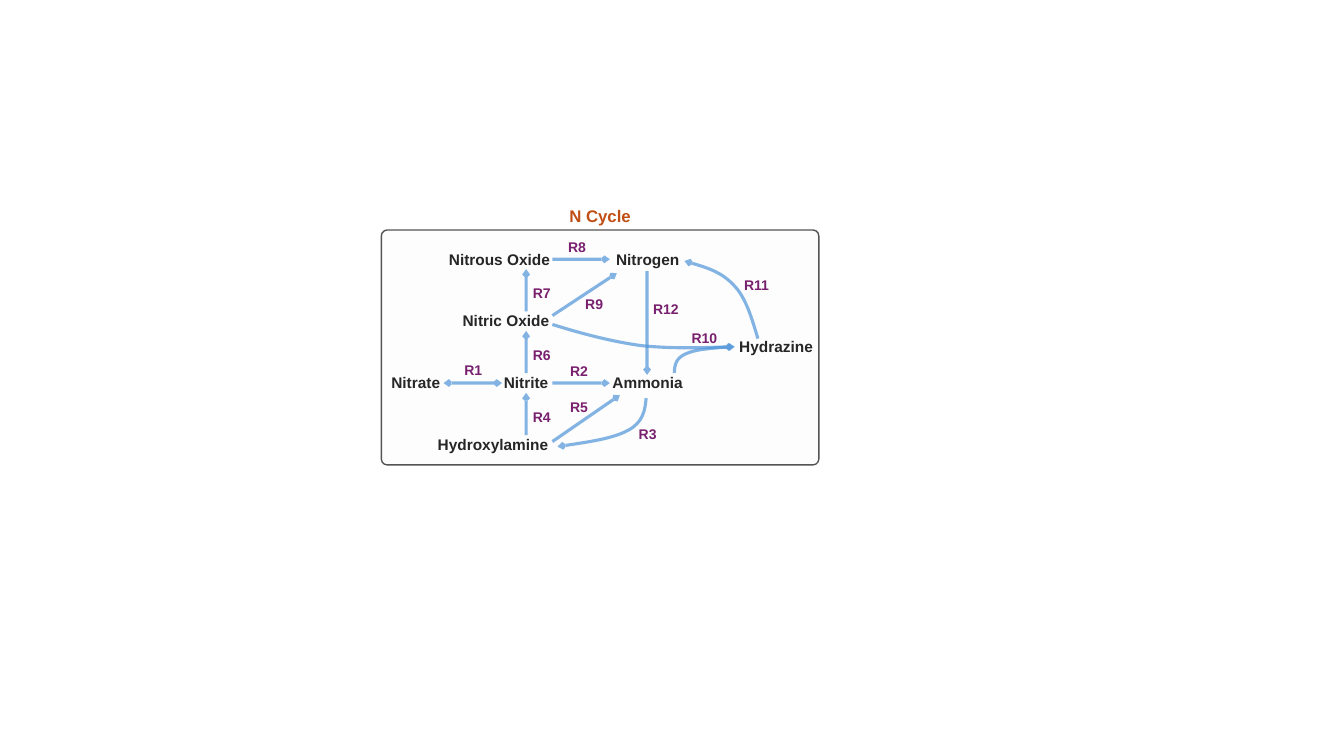
from lxml.etree import SubElement
from pptx import Presentation
from pptx.dml.color import RGBColor
from pptx.enum.shapes import MSO_CONNECTOR, MSO_SHAPE
from pptx.enum.text import MSO_ANCHOR, PP_ALIGN
from pptx.oxml.ns import qn
from pptx.util import Pt

PANEL = RGBColor(0xF2, 0xF2, 0xF2)
BORDER = RGBColor(0x0D, 0x0D, 0x0D)
INK = RGBColor(0x26, 0x26, 0x26)
BLUE = RGBColor(0x4E, 0x95, 0xD9)
PURPLE = RGBColor(0x78, 0x20, 0x6E)
ORANGE = RGBColor(0xC0, 0x4F, 0x15)

ROWS = [185.2 + 44.2 * i for i in range(4)]
BOX_X, BOX_Y, BOX_W, BOX_H = 272.4, 164.3, 312.5, 167.8
UP_X = 375.8
LEFT_X, RIGHT_X = 394.6, 435.6

# text, centre x, centre y, box width
COMPOUNDS = [
    ("Nitrate", 297, ROWS[2], 52),
    ("Nitrite", UP_X, ROWS[2], 46),
    ("Ammonia", 462.6, ROWS[2], 67),
    ("Nitric Oxide", 361.4, ROWS[1], 76),
    ("Nitrous Oxide", 356.8, ROWS[0], 87),
    ("Nitrogen", 462.7, ROWS[0], 60),
    ("Hydroxylamine", 352.2, ROWS[3], 95),
    ("Hydrazine", 554.4, 247.8, 70),
]
REACTIONS = [
    ("R1", 338, 264.6), ("R2", 413.6, 265.3), ("R3", 462.6, 310),
    ("R5", 413.6, 290.5), ("R8", 412.2, 176.6), ("R9", 424.4, 217.1),
    ("R10", 503.2, 241.6), ("R11", 540.4, 203.4), ("R12", 475.6, 220.7),
]
UP_REACTIONS = ["R7", "R6", "R4"]
STRAIGHT = [
    ((LEFT_X, ROWS[0]), (RIGHT_X, ROWS[0])),
    ((LEFT_X, ROWS[2]), (RIGHT_X, ROWS[2])),
    ((462.2, 193.7), (462.2, 267.8)),
    ((LEFT_X, 225.4), (440.6, 195.1)),
    ((LEFT_X, 315.4), (442.8, 282.2)),
]
# start point, then two control points and an end point per segment
CURVES = [
    [(541.4, 241.9), (537.1, 227.5), (532.8, 212.4), (524.2, 203.8),
     (515.5, 194.4), (501.8, 190.1), (488.9, 186.5)],
    [(LEFT_X, 231.8), (415.4, 238.3), (437, 244.1), (458.6, 247),
     (480.2, 249.1), (502.6, 248.4), (524.2, 247.7)],
    [(481.7, 266.4), (481.7, 257), (486, 254.2), (491.8, 252),
     (497.5, 249.8), (509.8, 248.4), (524.9, 247.7)],
    [(461.5, 284.4), (460.8, 293), (459.4, 301.7), (448.6, 307.4),
     (437.8, 313.2), (417.6, 316.1), (398.2, 319)],
]


def set_opacity(fill_parent, percent):
    color = fill_parent.find(qn("a:solidFill"))[0]
    SubElement(color, qn("a:alpha")).set("val", str(percent * 1000))


class Diagram:
    font = "Arial"

    def __init__(self, s):
        self.shapes = s.shapes.add_group_shape().shapes

    def stroke(self, sp, color, width):
        sp.line.color.rgb = color
        sp.line.width = Pt(width)
        ln = sp.line._get_or_add_ln()
        set_opacity(ln, 70)
        return ln

    def arrow_style(self, sp, both=False):
        ln = self.stroke(sp, BLUE, 2.25)
        for end in (["headEnd"] if both else []) + ["tailEnd"]:
            SubElement(ln, qn("a:" + end), type="arrow", w="sm", len="sm")

    def panel(self, x, y, w, h):
        sp = self.shapes.add_shape(
            MSO_SHAPE.ROUNDED_RECTANGLE, Pt(x), Pt(y), Pt(w), Pt(h))
        sp.adjustments[0] = 0.025
        sp.shadow.inherit = False
        sp.fill.solid()
        sp.fill.fore_color.rgb = PANEL
        set_opacity(sp._element.spPr, 10)
        self.stroke(sp, BORDER, 1)

    def label(self, text, cx, cy, w, size, color):
        """Put bold text centred on (cx, cy)."""
        h = size * 1.2 + 7.4
        sp = self.shapes.add_textbox(
            Pt(cx - w / 2), Pt(cy - h / 2), Pt(w), Pt(h))
        tf = sp.text_frame
        tf.word_wrap = True
        tf.margin_left = tf.margin_right = 0
        tf.vertical_anchor = MSO_ANCHOR.MIDDLE
        p = tf.paragraphs[0]
        p.alignment = PP_ALIGN.CENTER
        r = p.add_run()
        r.text = text
        r.font.name = self.font
        r.font.size = Pt(size)
        r.font.bold = True
        r.font.color.rgb = color

    def arrow(self, start, end, both=False):
        sp = self.shapes.add_connector(
            MSO_CONNECTOR.STRAIGHT, *(Pt(v) for v in start + end))
        self.arrow_style(sp, both)
        SubElement(sp._element.spPr, qn("a:effectLst"))

    def curve(self, points):
        """Draw a Bézier arrow, turning each three line steps into one cubic."""
        start, *rest = [(Pt(x), Pt(y)) for x, y in points]
        builder = self.shapes.build_freeform(*start)
        builder.add_line_segments(rest, close=False)
        sp = builder.convert_to_shape()
        steps = list(sp._element.iter(qn("a:lnTo")))
        outline = steps[0].getparent()
        for i in range(0, len(steps), 3):
            cubic = SubElement(outline, qn("a:cubicBezTo"))
            for step in steps[i:i + 3]:
                cubic.append(step[0])
                outline.remove(step)
        sp.fill.background()
        sp.shadow.inherit = False
        self.arrow_style(sp)


def main():
    prs = Presentation()
    prs.slide_width, prs.slide_height = Pt(960), Pt(540)
    d = Diagram(prs.slides.add_slide(prs.slide_layouts[6]))

    d.panel(BOX_X, BOX_Y, BOX_W, BOX_H)
    d.label("N Cycle", BOX_X + BOX_W / 2, 154.1, BOX_W, 12, ORANGE)
    for text, cx, cy, w in COMPOUNDS:
        d.label(text, cx, cy - 0.3, w, 11, INK)
    for start, end in STRAIGHT:
        d.arrow(start, end)
    d.arrow((316.8, ROWS[2]), (358.6, ROWS[2]), both=True)
    for upper, lower in zip(ROWS, ROWS[1:]):
        d.arrow((UP_X, lower - 7), (UP_X, upper + 7))
    for points in CURVES:
        d.curve(points)
    up_labels = [(t, 387, y + 24.4) for t, y in zip(UP_REACTIONS, ROWS)]
    for text, cx, cy in REACTIONS + up_labels:
        d.label(text, cx, cy, 34, 10, PURPLE)

    prs.save("out.pptx")


if __name__ == "__main__":
    main()
